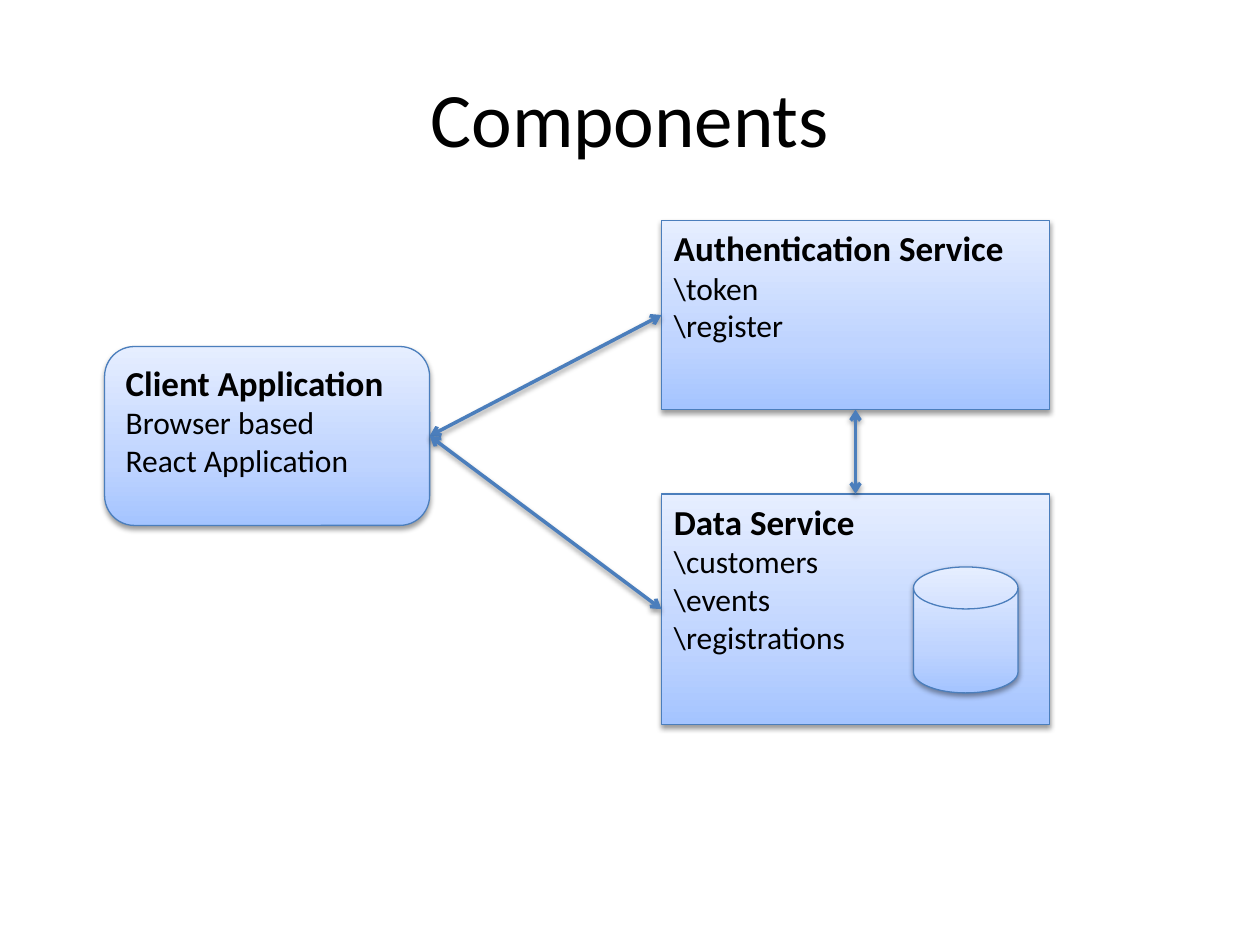
from lxml.etree import SubElement
from pptx import Presentation
from pptx.dml.color import RGBColor
from pptx.enum.shapes import MSO_CONNECTOR, MSO_SHAPE
from pptx.enum.text import MSO_ANCHOR, PP_ALIGN
from pptx.oxml.ns import qn
from pptx.util import Inches, Pt

# Content
TITLE = "Components"
BOXES = {
    "client": (MSO_SHAPE.ROUNDED_RECTANGLE, (0.83, 2.75, 2.58, 1.42),
               ["Client Application", "Browser based", "React Application"]),
    "auth": (MSO_SHAPE.RECTANGLE, (5.25, 1.75, 3.08, 1.5),
             ["Authentication Service", "\\token", "\\register"]),
    "data": (MSO_SHAPE.RECTANGLE, (5.25, 3.92, 3.08, 1.83),
             ["Data Service", "\\customers", "\\events", "\\registrations"]),
    "disk": (MSO_SHAPE.FLOWCHART_MAGNETIC_DISK, (7.25, 4.5, 0.83, 1), []),
}
TOP, LEFT, BOTTOM, RIGHT = range(4)
LINKS = [("client", RIGHT, "auth", LEFT),
         ("client", RIGHT, "data", LEFT),
         ("auth", BOTTOM, "data", TOP)]
COLORS = {"text": "000000", "line": "4B7EBC", "shadow": "000000",
          "low": "A4C4FF", "mid": "BFD4FF", "high": "E6EEFF"}
STOPS = [(0, "low"), (35, "mid"), (100, "high")]


def rgb(name):
    return RGBColor.from_string(COLORS[name])


def node(parent, tag, **attrs):
    return SubElement(parent, qn(tag), {k: str(v) for k, v in attrs.items()})


def write(para, text, size=18, bold=False, align=PP_ALIGN.LEFT):
    para.alignment = align
    run = para.add_run()
    run.text = text
    run.font.name = "Calibri"
    run.font.size = Pt(size)
    run.font.bold = bold
    run.font.color.rgb = rgb("text")


def outline(part, width):
    part.line.color.rgb = rgb("line")
    part.line.width = Pt(width)


def shade(effects):
    drop = node(effects, "a:outerShdw", blurRad=Pt(3.1), dist=Pt(1.6),
                dir=5400000, rotWithShape=0)
    color = node(drop, "a:srgbClr", val=COLORS["shadow"])
    node(color, "a:alpha", val=38000)


def blend(shape):
    shape.fill.gradient()
    grad = shape.element.spPr.find(qn("a:gradFill"))
    for child in list(grad):
        grad.remove(child)
    stops = node(grad, "a:gsLst")
    for pos, name in STOPS:
        stop = node(stops, "a:gs", pos=pos * 1000)
        node(stop, "a:srgbClr", val=COLORS[name])
    node(grad, "a:lin", ang=270 * 60000, scaled=0)


deck = Presentation()
deck.slide_width, deck.slide_height = Inches(10), Inches(7.5)
slide = deck.slides.add_slide(deck.slide_layouts[6])

# Title
title = slide.shapes.add_textbox(*map(Inches, (0.5, 0.3, 9, 1.25))).text_frame
title.word_wrap = True
title.vertical_anchor = MSO_ANCHOR.MIDDLE
write(title.paragraphs[0], TITLE, size=44, align=PP_ALIGN.CENTER)

# Boxes and database
shapes = {}
for name, (kind, place, lines) in BOXES.items():
    shape = slide.shapes.add_shape(kind, *map(Inches, place))
    shapes[name] = shape
    blend(shape)
    outline(shape, 0.75)
    shape.shadow.inherit = False
    shade(shape.element.spPr.find(qn("a:effectLst")))
    frame = shape.text_frame
    frame.word_wrap = True
    frame.vertical_anchor = MSO_ANCHOR.TOP
    for i, text in enumerate(lines):
        para = frame.add_paragraph() if i else frame.paragraphs[0]
        write(para, text, size=18 if i else 20, bold=i == 0)

# Two-way arrows
for start, out, end, into in LINKS:
    link = slide.shapes.add_connector(MSO_CONNECTOR.STRAIGHT, 0, 0, 0, 0)
    link.begin_connect(shapes[start], out)
    link.end_connect(shapes[end], into)
    outline(link, 2)
    props = link.element.spPr
    for tag in ("a:headEnd", "a:tailEnd"):
        node(props.find(qn("a:ln")), tag, type="arrow")
    shade(node(props, "a:effectLst"))

deck.save("out.pptx")
